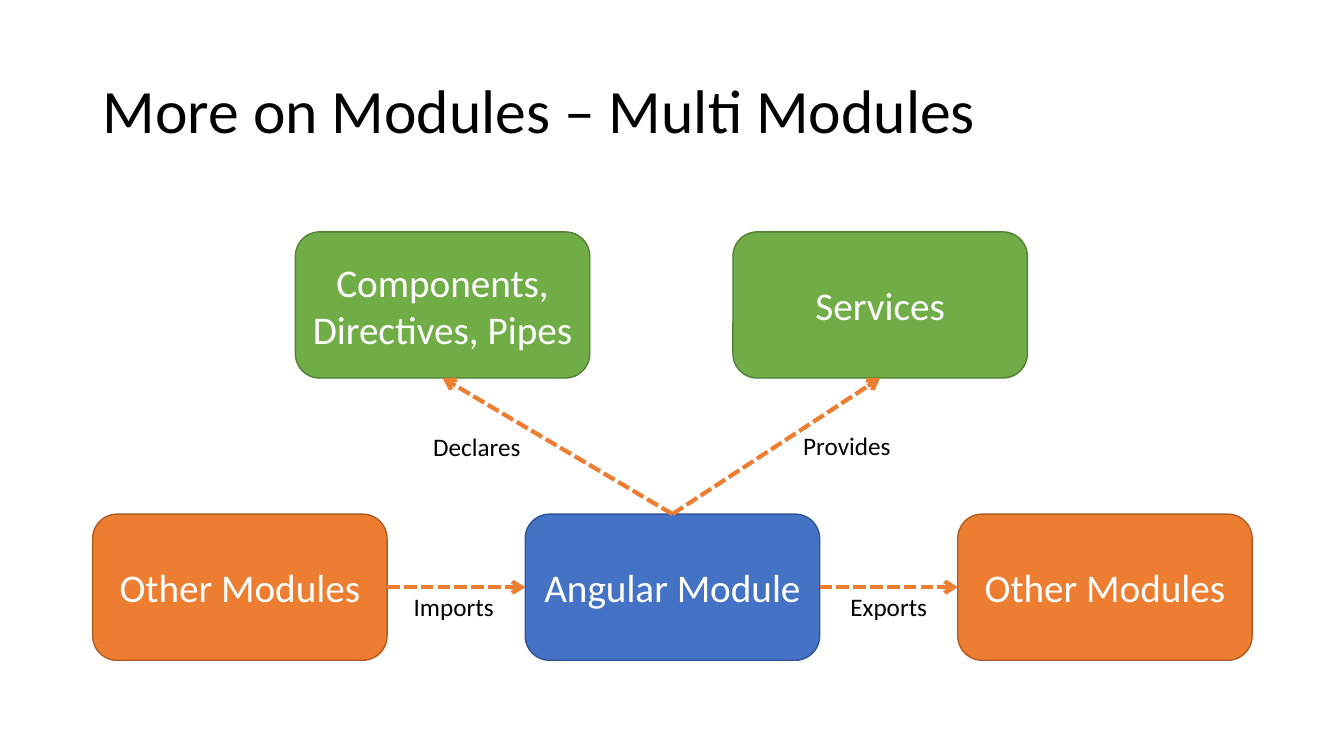
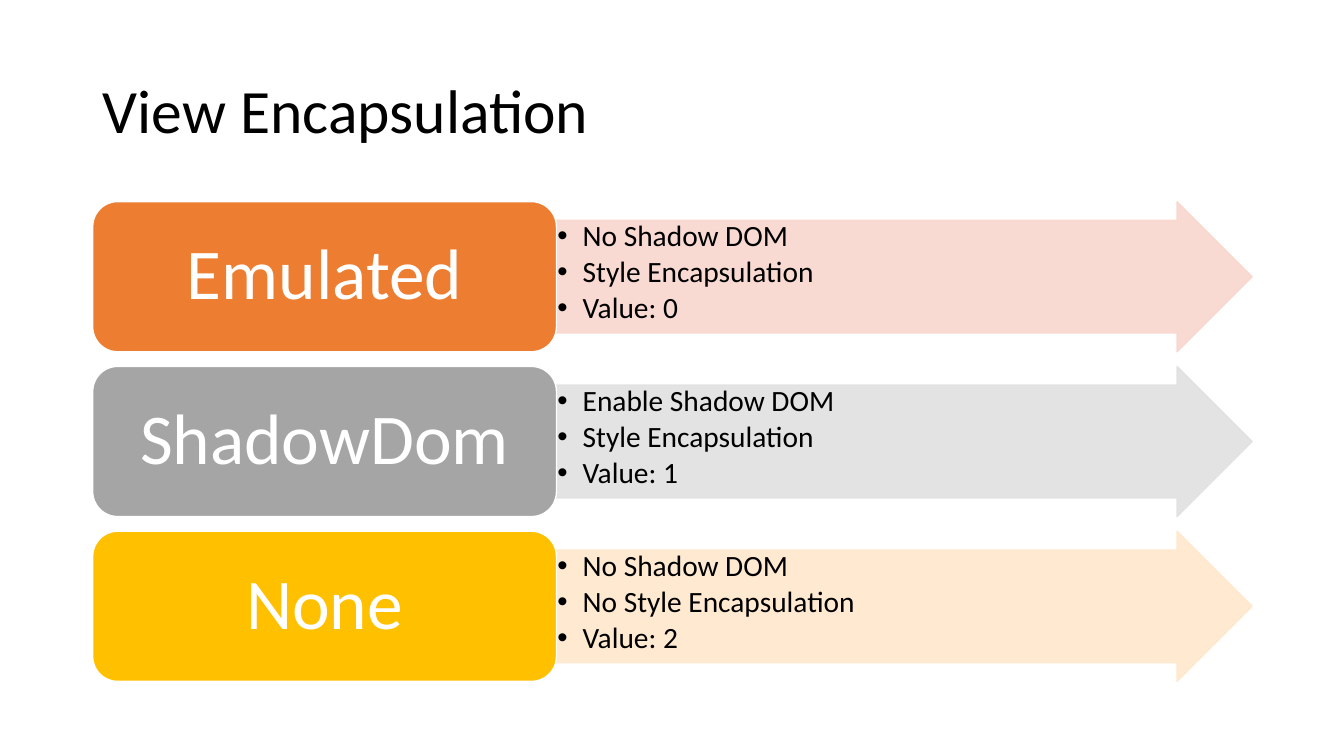
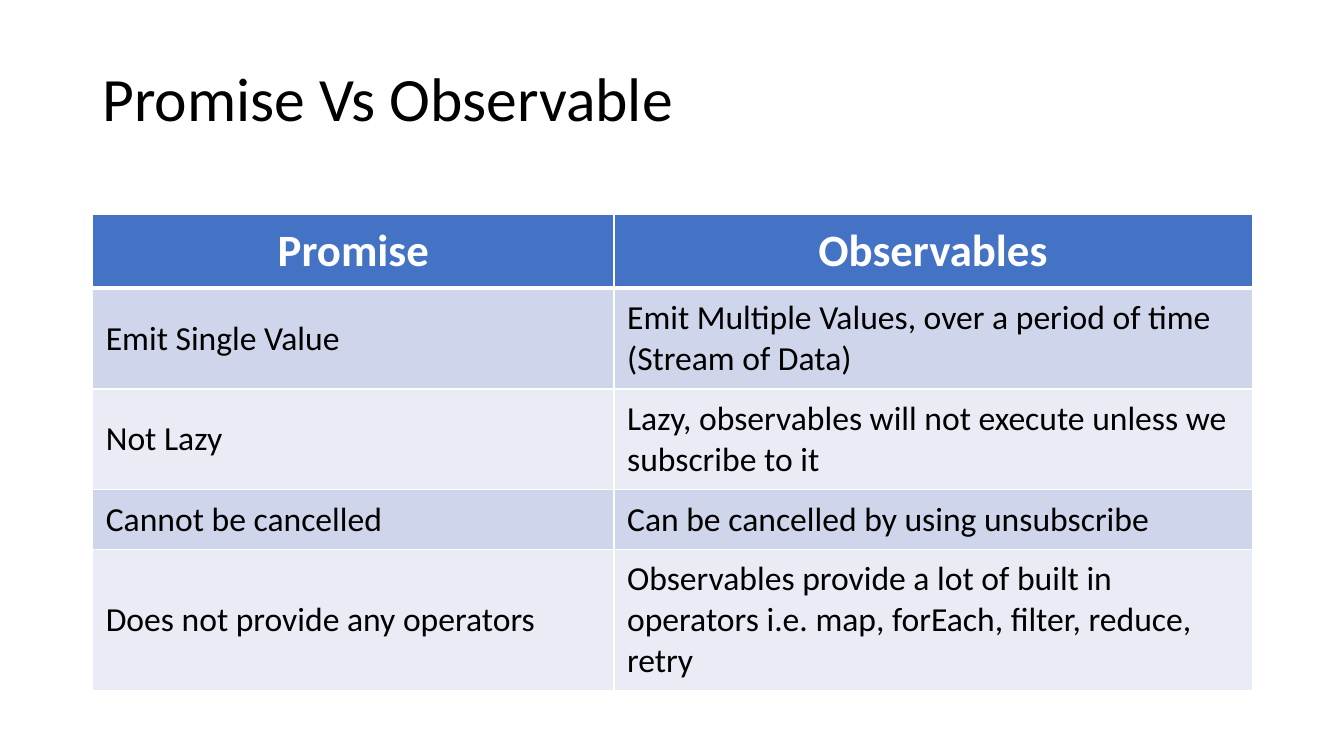
from dataclasses import dataclass
from lxml.etree import SubElement
from pptx import Presentation
from pptx.dml.color import RGBColor
from pptx.enum.dml import MSO_LINE
from pptx.enum.shapes import MSO_CONNECTOR, MSO_SHAPE
from pptx.enum.text import MSO_ANCHOR, PP_ALIGN
from pptx.oxml.ns import qn
from pptx.util import Inches, Pt

FONT = "Calibri"
BLACK, WHITE = "000000", "FFFFFF"
BLUE, ORANGE, GREEN, GRAY, GOLD = "4472C4", "ED7D31", "70AD47", "A5A5A5", "FFC000"
BLUE_EDGE, ORANGE_EDGE, GREEN_EDGE = "325491", "AF5C24", "538035"
BAND_DARK, BAND_LIGHT = "CFD5EA", "E9EBF5"


@dataclass
class Area:
    """A rectangle in inches that is divided by percentages."""
    left: float
    top: float
    width: float
    height: float

    def inner(self, left, top, width, height):
        """Return the sub-area at the given percentages."""
        return Area(self.left + self.width * left / 100, self.top + self.height * top / 100,
                    self.width * width / 100, self.height * height / 100)

    def columns(self, count, width):
        """Return equal columns of a percentage width, spread from edge to edge."""
        step = (100 - width) / (count - 1)
        return [self.inner(step * index, 0, width, 100) for index in range(count)]

    def rows(self, count, height):
        """Return equal rows of a percentage height, spread from edge to edge."""
        step = (100 - height) / (count - 1)
        return [self.inner(0, step * index, 100, height) for index in range(count)]

    def box(self):
        """Return left, top, width and height as lengths."""
        return [Inches(side) for side in (self.left, self.top, self.width, self.height)]


PAGE = Area(0, 0, 13.33, 7.5)
TITLE = PAGE.inner(6.9, 5.33, 86.27, 19.33)
HIGH_TITLE = PAGE.inner(6.9, 3.73, 86.27, 14.8)


def color(hex_text):
    """Turn a hex string into a colour."""
    return RGBColor.from_string(hex_text)


def style_para(para, size, ink, align=PP_ALIGN.LEFT, bold=False, spacing=None):
    """Format a paragraph and its runs."""
    para.alignment = align
    para.line_spacing = spacing
    for span in para.runs:
        span.font.name = FONT
        span.font.size = Pt(size)
        span.font.bold = bold
        span.font.color.rgb = color(ink)


def set_margins(holder, across, down):
    """Set the inner margins of a text frame or a cell in inches."""
    holder.margin_left = holder.margin_right = Inches(across)
    holder.margin_top = holder.margin_bottom = Inches(down)


def add_text(page, area, text, size, align=PP_ALIGN.LEFT, anchor=MSO_ANCHOR.TOP,
             wrap=True, spacing=None):
    """Add a one-paragraph text box."""
    frame = page.shapes.add_textbox(*area.box()).text_frame
    frame.text = text
    frame.word_wrap = wrap
    frame.vertical_anchor = anchor
    style_para(frame.paragraphs[0], size, BLACK, align, spacing=spacing)


def add_page(deck, title, area=TITLE, anchor=MSO_ANCHOR.MIDDLE):
    """Add a blank page with the shared title style."""
    page = deck.slides.add_slide(deck.slide_layouts[6])
    add_text(page, area, title, 44, anchor=anchor, spacing=0.9)
    return page


def add_block(page, preset, area, fill, edge):
    """Add a flat filled shape with a thin edge."""
    block = page.shapes.add_shape(preset, *area.box())
    block.shadow.inherit = False
    block.fill.solid()
    block.fill.fore_color.rgb = color(fill)
    block.line.color.rgb = color(edge)
    block.line.width = Pt(1)
    block.text_frame.word_wrap = True
    return block


def add_rounded(page, area, text, size, fill, edge, spacing=None):
    """Add a rounded box with a centred white label."""
    block = add_block(page, MSO_SHAPE.ROUNDED_RECTANGLE, area, fill, edge)
    frame = block.text_frame
    frame.text = text
    frame.vertical_anchor = MSO_ANCHOR.MIDDLE
    style_para(frame.paragraphs[0], size, WHITE, PP_ALIGN.CENTER, spacing=spacing)
    return block


def add_arrow(page, start, start_site, end, end_site):
    """Join two boxes with a dashed arrow."""
    arrow = page.shapes.add_connector(MSO_CONNECTOR.STRAIGHT, 0, 0, 0, 0)
    arrow.begin_connect(start, start_site)
    arrow.end_connect(end, end_site)
    arrow.line.color.rgb = color(ORANGE)
    arrow.line.width = Pt(3)
    arrow.line.dash_style = MSO_LINE.SQUARE_DOT
    props = arrow._element.spPr
    SubElement(props.find(qn("a:ln")), qn("a:tailEnd"), type="arrow")
    SubElement(props, qn("a:effectLst"))


def module_diagram(page, area):
    """Draw the module boxes, their arrows and the arrow labels."""
    width, height = 25.39, 34.12
    lower = area.inner(0, 100 - height, 100, height).columns(3, width)
    upper = [area.inner(left, 0, width, height) for left in (17.48, 55.22)]
    others = ("Other Modules", ORANGE, ORANGE_EDGE)
    contents = [others, ("Angular Module", BLUE, BLUE_EDGE), others,
                ("Components, Directives, Pipes", GREEN, GREEN_EDGE),
                ("Services", GREEN, GREEN_EDGE)]
    source, module, target, declared, services = [
        add_rounded(page, spot, text, 28, fill, edge)
        for spot, (text, fill, edge) in zip(lower + upper, contents)]
    top, left, bottom, right = range(4)
    add_arrow(page, source, right, module, left)
    add_arrow(page, module, right, target, left)
    add_arrow(page, module, top, services, bottom)
    add_arrow(page, module, top, declared, bottom)
    label_width, label_height = 9.39, 9.41
    for text, center, label_top in (("Imports", 31.13, 82.82), ("Exports", 68.65, 82.82),
                                    ("Provides", 65.04, 45.18), ("Declares", 33.13, 45.41)):
        spot = area.inner(center - label_width / 2, label_top, label_width, label_height)
        add_text(page, spot, text, 18, PP_ALIGN.CENTER, wrap=False)


def add_bullet(para):
    """Give a paragraph a hanging bullet."""
    props = para._p.get_or_add_pPr()
    props.set("marL", str(Inches(0.25)))
    props.set("indent", str(-Inches(0.25)))
    SubElement(props, qn("a:buFont"), typeface="Arial")
    SubElement(props, qn("a:buChar"), char="•")


def mode_row(page, area, name, fill, tint, facts):
    """Draw a named box and the pale arrow that lists its facts."""
    arrow = add_block(page, MSO_SHAPE.RIGHT_ARROW, area.inner(40, 0, 60, 100), tint, tint)
    arrow.adjustments[0], arrow.adjustments[1] = 0.75, 0.5
    for paint in arrow._element.spPr.iter(qn("a:srgbClr")):
        SubElement(paint, qn("a:alpha"), val="90000")
    frame = arrow.text_frame
    frame.text = "\n".join(facts)
    frame.vertical_anchor = MSO_ANCHOR.TOP
    set_margins(frame, 0.01, 0.01)
    for para in frame.paragraphs:
        style_para(para, 21, BLACK, spacing=0.9)
        para.space_after = Pt(3)
        add_bullet(para)
    add_rounded(page, area.inner(0, 0, 40, 100), name, 51, fill, WHITE, 0.9)


def mode_list(page, area):
    """Stack the encapsulation modes."""
    modes = [
        ("Emulated", ORANGE, "F8D7CE", ["No Shadow DOM", "Style Encapsulation", "Value: 0"]),
        ("ShadowDom", GRAY, "E1E1E1", ["Enable Shadow DOM", "Style Encapsulation", "Value: 1"]),
        ("None", GOLD, "FFE8CC", ["No Shadow DOM", "No Style Encapsulation", "Value: 2"]),
    ]
    for spot, mode in zip(area.rows(len(modes), 31.3), modes):
        mode_row(page, spot, *mode)


def set_borders(cell, **widths):
    """Draw white cell borders with the given widths in points."""
    props = cell._tc.get_or_add_tcPr()
    for side in "LRTB":
        line = SubElement(props, qn(f"a:ln{side}"), w=str(Pt(widths.get(side, 1))))
        SubElement(SubElement(line, qn("a:solidFill")), qn("a:srgbClr"), val=WHITE)


def comparison_table(page, area):
    """Draw the comparison table."""
    rows = [
        ("Promise", "Observables"),
        ("Emit Single Value", "Emit Multiple Values, over a period of time (Stream of Data)"),
        ("Not Lazy", "Lazy, observables will not execute unless we subscribe to it"),
        ("Cannot be cancelled", "Can be cancelled by using unsubscribe"),
        ("Does not provide any operators",
         "Observables provide a lot of built in operators i.e. map, forEach, filter, reduce, retry"),
    ]
    table = page.shapes.add_table(len(rows), 2, *area.box()).table
    for column, share in zip(table.columns, (44.96, 55.04)):
        column.width = Inches(area.width * share / 100)
    for row, share in zip(table.rows, (15.47, 21.19, 21.19, 12.5, 29.65)):
        row.height = Inches(area.height * share / 100)
    for index, texts in enumerate(rows):
        header = index == 0
        fill = BLUE if header else BAND_DARK if index % 2 else BAND_LIGHT
        for cell, text in zip(table.rows[index].cells, texts):
            set_borders(cell, B=3 if header else 1, T=3 if index == 1 else 1)
            cell.fill.solid()
            cell.fill.fore_color.rgb = color(fill)
            cell.vertical_anchor = MSO_ANCHOR.MIDDLE
            set_margins(cell, 0.13, 0.07)
            cell.text_frame.text = text
            para = cell.text_frame.paragraphs[0]
            if header:
                style_para(para, 32, WHITE, PP_ALIGN.CENTER, bold=True)
            else:
                style_para(para, 24, BLACK)


def main():
    """Build and save the deck."""
    deck = Presentation()
    deck.slide_width, deck.slide_height = Inches(PAGE.width), Inches(PAGE.height)
    module_diagram(add_page(deck, "More on Modules – Multi Modules"),
                   PAGE.inner(6.9, 30.67, 86.27, 56.67))
    mode_list(add_page(deck, "View Encapsulation"), PAGE.inner(6.9, 26.67, 86.27, 63.47))
    comparison_table(add_page(deck, "Promise Vs Observable", HIGH_TITLE, MSO_ANCHOR.BOTTOM),
                     PAGE.inner(6.9, 28.4, 86.27, 62.93))
    deck.save("out.pptx")


if __name__ == "__main__":
    main()
